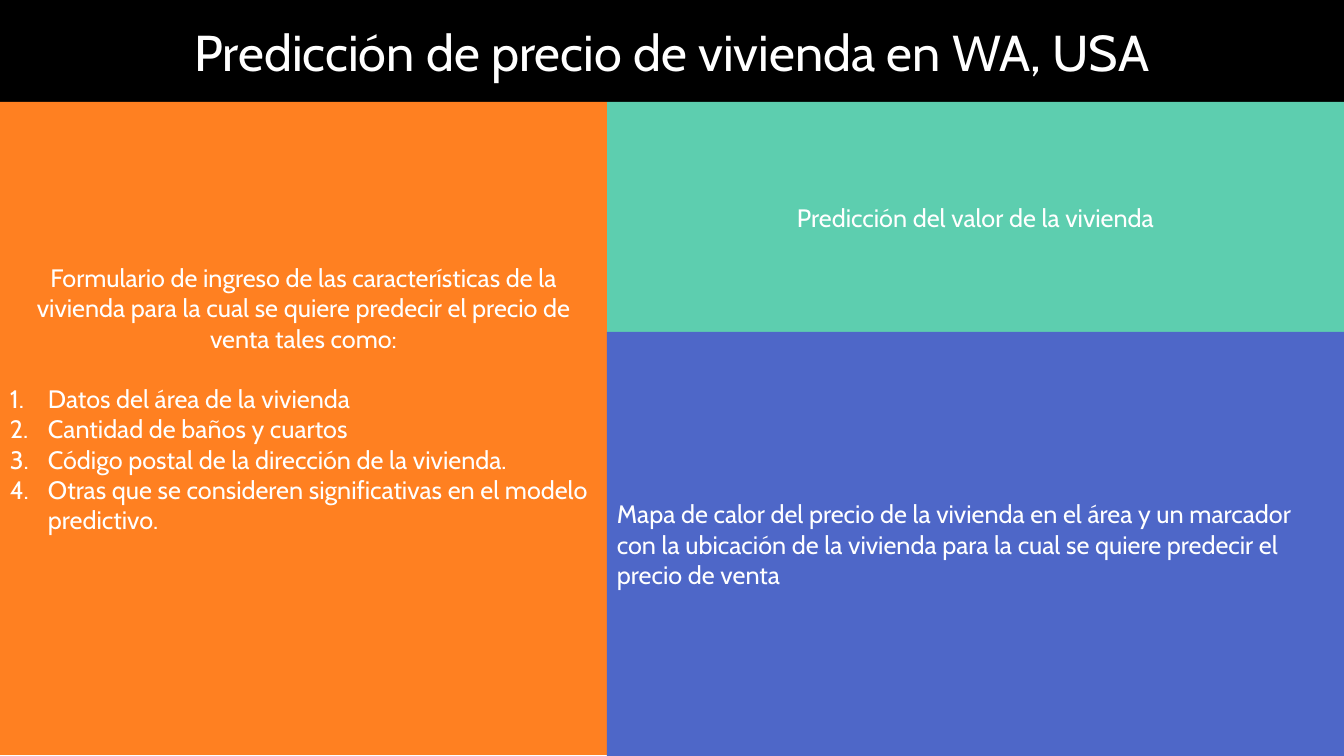
from pptx import Presentation
from pptx.dml.color import RGBColor
from pptx.enum.shapes import MSO_SHAPE
from pptx.enum.text import MSO_ANCHOR, PP_ALIGN
from pptx.util import Emu, Pt
from lxml import etree

RECT = MSO_SHAPE.RECTANGLE
MID = MSO_ANCHOR.MIDDLE
LEFT, MIDDLE = PP_ALIGN.LEFT, PP_ALIGN.CENTER
NS = "http://schemas.openxmlformats.org/drawingml/2006/main"
FONT = "Cabin"

# Content
COLORS = {"title": "000000", "value": "5DCEAF", "form": "FF8021",
          "map": "4E67C8", "text": "FFFFFF"}
TITLE = "Predicción de precio de vivienda en WA, USA"
VALUE = "Predicción del valor de la vivienda"
FORM = ("Formulario de ingreso de las características de la vivienda "
        "para la cual se quiere predecir el precio de venta tales como:")
ITEMS = [
    "Datos del área de la vivienda",
    "Cantidad de baños y cuartos",
    "Código postal de la dirección de la vivienda.",
    "Otras que se consideren significativas en el modelo predictivo.",
]
MAP = ("Mapa de calor del precio de la vivienda en el área y un marcador "
       "con la ubicación de la vivienda para la cual se quiere predecir "
       "el precio de venta")

# Layout in px
WIDE, HIGH = 1344, 756
HEAD, SPLIT, ROW = 102, 607, 332
INDENT, FOOT = 38, 65
GAP = 21.6  # points between the intro and the list


def px(n):
    return Emu(round(n * 914400 / 100.8))


def panel(name, left, top, right, low):
    box = slide.shapes.add_shape(RECT, px(left), px(top),
                                 px(right - left), px(low - top))
    box.shadow.inherit = False
    box.fill.solid()
    box.fill.fore_color.rgb = RGBColor.from_string(COLORS[name])
    box.line.fill.background()
    frame = box.text_frame
    frame.word_wrap = True
    frame.vertical_anchor = MID
    return frame


def write(frame, text, size=18, align=MIDDLE, after=0, number=False):
    para = frame.paragraphs[0]
    if para.runs:
        para = frame.add_paragraph()
    para.alignment = align
    para.space_after = Pt(after)
    run = para.add_run()
    run.text = text
    run.font.size = Pt(size)
    run.font.name = FONT
    run.font.color.rgb = RGBColor.from_string(COLORS["text"])
    if number:
        props = para._p.get_or_add_pPr()
        props.set("marL", str(px(INDENT)))
        props.set("indent", str(-px(INDENT)))
        face = etree.SubElement(props, f"{{{NS}}}buFont")
        face.set("typeface", "+mj-lt")
        mark = etree.SubElement(props, f"{{{NS}}}buAutoNum")
        mark.set("type", "arabicPeriod")


deck = Presentation()
deck.slide_width, deck.slide_height = px(WIDE), px(HIGH)
slide = deck.slides.add_slide(deck.slide_layouts[6])

# Title band
write(panel("title", 0, 0, WIDE, HEAD), TITLE, size=36)

# Predicted value
write(panel("value", SPLIT, HEAD, WIDE, ROW), VALUE)

# Input form with numbered list
form = panel("form", 0, HEAD, SPLIT, HIGH - 1)
form.margin_bottom = px(FOOT)
write(form, FORM, after=GAP)
for item in ITEMS:
    write(form, item, align=LEFT, number=True)

# Heat map
write(panel("map", SPLIT, ROW, WIDE, HIGH), MAP, align=LEFT)

deck.save("out.pptx")
